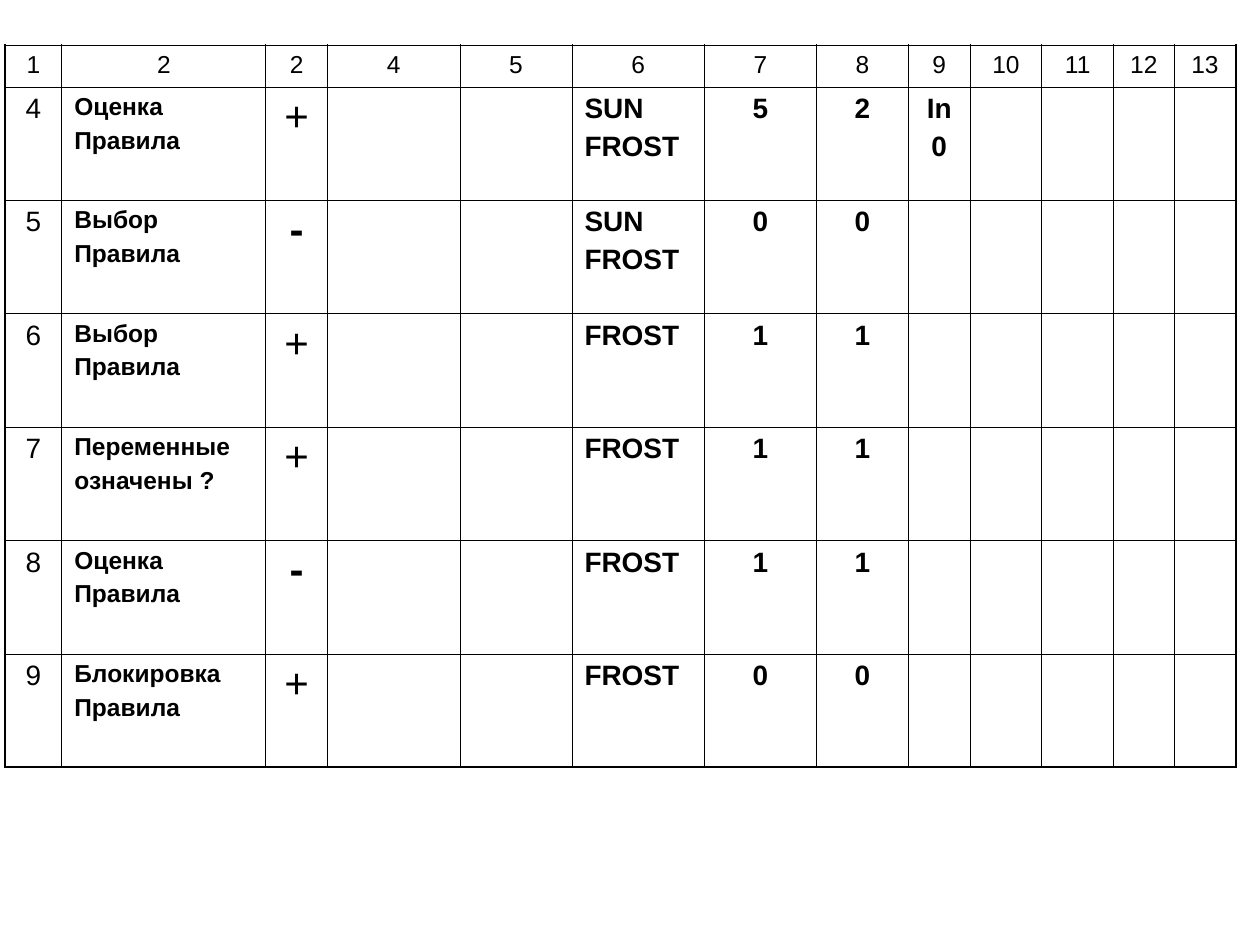
from lxml import etree
from pptx import Presentation
from pptx.dml.color import RGBColor
from pptx.enum.text import PP_ALIGN
from pptx.oxml.ns import qn
from pptx.util import Inches, Pt

LEFT, MID = PP_ALIGN.LEFT, PP_ALIGN.CENTER
BLACK = RGBColor(0, 0, 0)
THIN, THICK = Pt(0.45), Pt(1.08)

WIDTHS = [0.45, 1.62, 0.49, 1.05, 0.89, 1.05, 0.89, 0.73, 0.49, 0.57, 0.57, 0.48, 0.49]
HEAD = ["1", "2", "2", "4", "5", "6", "7", "8", "9", "10", "11", "12", "13"]
STEPS = [
    ["4", "Оценка\nПравила", "+", "", "", "SUN\nFROST", "5", "2", "In\n0"],
    ["5", "Выбор\nПравила", "-", "", "", "SUN\nFROST", "0", "0"],
    ["6", "Выбор\nПравила", "+", "", "", "FROST", "1", "1"],
    ["7", "Переменные\nозначены ?", "+", "", "", "FROST", "1", "1"],
    ["8", "Оценка\nПравила", "-", "", "", "FROST", "1", "1"],
    ["9", "Блокировка\nПравила", "+", "", "", "FROST", "0", "0"],
]


class Deck:
    font = "Arial"
    color = BLACK

    def __init__(self, wide, high):
        self.file = Presentation()
        self.file.slide_width = Inches(wide)
        self.file.slide_height = Inches(high)
        self.slide = self.file.slides.add_slide(self.file.slide_layouts[6])

    def table(self, left, top, widths, heights):
        frame = self.slide.shapes.add_table(
            len(heights), len(widths), Inches(left), Inches(top),
            Inches(sum(widths)), Inches(sum(heights)))
        grid = frame.table
        grid.first_row = grid.horz_banding = False
        for col, width in zip(grid.columns, widths):
            col.width = Inches(width)
        for row, height in zip(grid.rows, heights):
            row.height = Inches(height)
        for r in range(len(heights)):
            for c in range(len(widths)):
                cell = grid.cell(r, c)
                self.edges(cell, {
                    "L": c == 0, "R": c == len(widths) - 1,
                    "T": r == 0, "B": r == len(heights) - 1})
                cell.fill.background()
        return grid

    def edges(self, cell, outer):
        props = cell._tc.get_or_add_tcPr()
        for side, thick in outer.items():
            line = etree.SubElement(props, qn(f"a:ln{side}"), w=str(int(THICK if thick else THIN)))
            fill = etree.SubElement(line, qn("a:solidFill"))
            etree.SubElement(fill, qn("a:srgbClr"), val=str(self.color))

    def label(self, cell, text, size, bold=False, align=MID):
        frame = cell.text_frame
        for i, words in enumerate(text.split("\n")):
            para = frame.add_paragraph() if i else frame.paragraphs[0]
            para.alignment = align
            if i:
                para.space_before = Pt(size / 4)
            run = para.add_run()
            run.text = words
            run.font.name = self.font
            run.font.size = Pt(size)
            run.font.bold = bold
            run.font.color.rgb = self.color


def main():
    deck = Deck(10, 7.5)
    grid = deck.table(0.04, 0.36, WIDTHS, [0.33] + [0.9] * len(STEPS))
    for c, text in enumerate(HEAD):
        deck.label(grid.cell(0, c), text, 14)
    sizes = {1: 14, 2: 24}
    for r, step in enumerate(STEPS, 1):
        for c, text in enumerate(step):
            if text:
                bold = c > 0 and text != "+"
                align = LEFT if c in (1, 5) else MID
                deck.label(grid.cell(r, c), text, sizes.get(c, 16), bold, align)
    deck.file.save("out.pptx")


if __name__ == "__main__":
    main()
